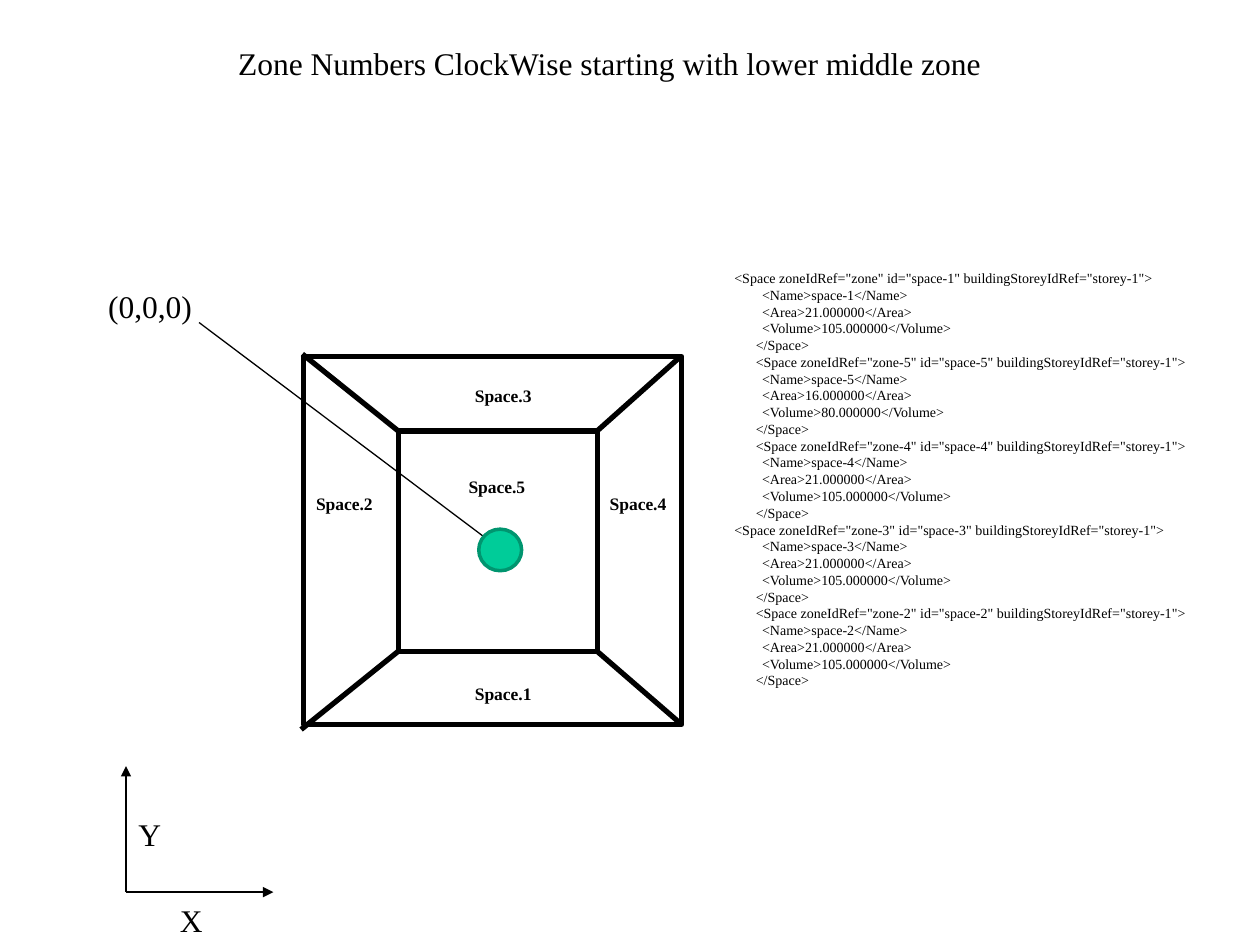
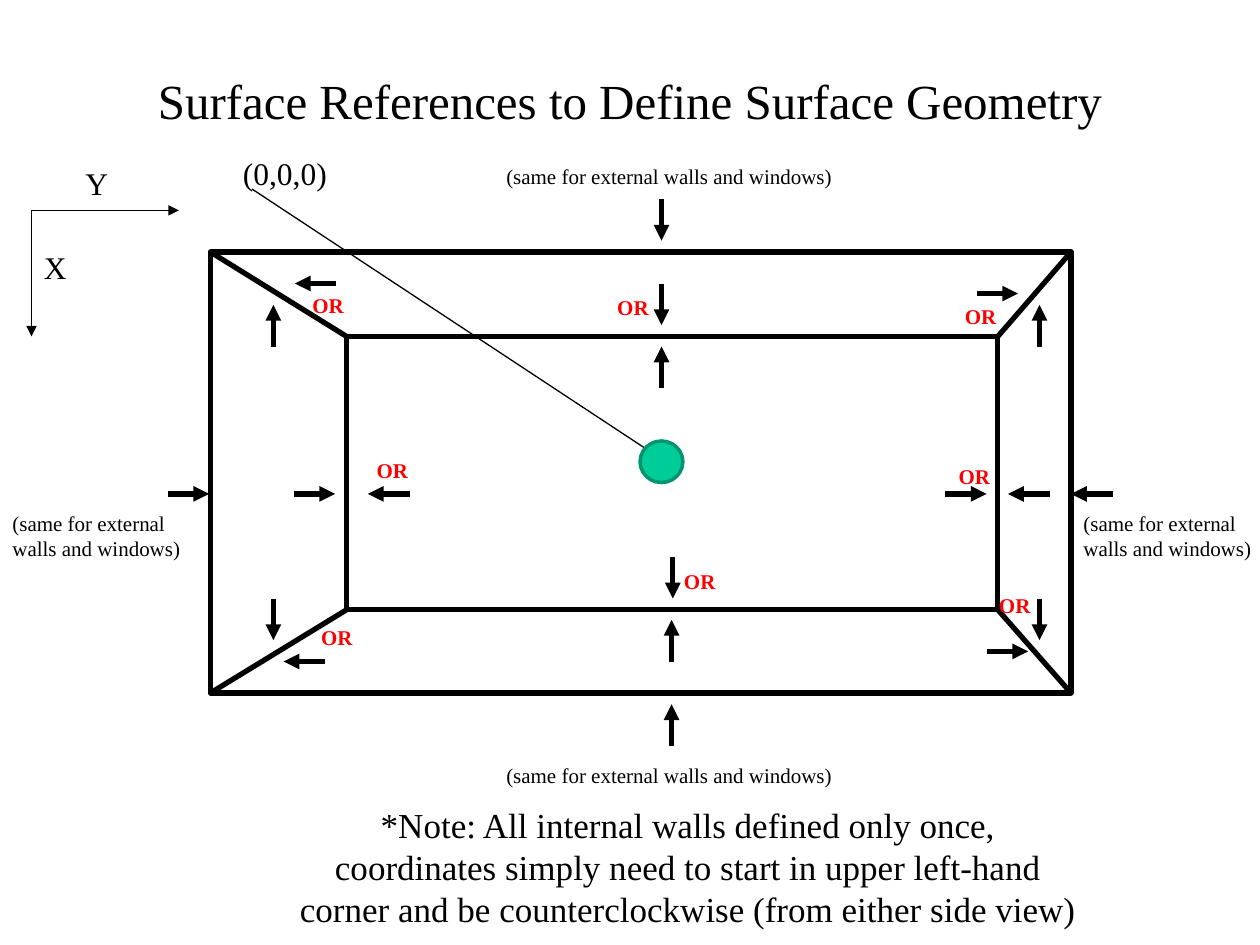
"""Build two slides on zone numbering and surface references."""
from dataclasses import dataclass

from lxml.etree import SubElement
from pptx import Presentation
from pptx.dml.color import RGBColor
from pptx.enum.shapes import MSO_CONNECTOR, MSO_SHAPE
from pptx.enum.text import MSO_ANCHOR, PP_ALIGN
from pptx.oxml.ns import qn
from pptx.shapes.autoshape import Shape
from pptx.slide import Slide
from pptx.text.text import TextFrame
from pptx.util import Inches, Pt

FONT = "Times New Roman"
BLACK, RED, GREEN, DARK_GREEN = "000000", "FF0000", "00CC99", "00956F"
THIN, THICK = 0.75, 3
ARROW_LENGTH = 0.33
EXTERNAL = "(same for external walls and windows)"
Point = tuple[float, float]


@dataclass(frozen=True)
class Box:
    """A rectangle in inches."""
    left: float
    top: float
    width: float
    height: float

    def corners(self) -> list[Point]:
        """Return the top left, top right, bottom left and bottom right points."""
        return [(x, y) for y in (self.top, self.top + self.height)
                for x in (self.left, self.left + self.width)]


@dataclass(frozen=True)
class TextStyle:
    """The look of a piece of text."""
    size: float
    color: str = BLACK
    bold: bool = False
    centered: bool = False


@dataclass(frozen=True)
class Label:
    """A text with its place and look."""
    text: str
    box: Box
    style: TextStyle


@dataclass(frozen=True)
class SpaceEntry:
    """One Space element of the listing."""
    number: int
    zone: str
    area: int
    volume: int
    opening_indent: float


@dataclass(frozen=True)
class Plan:
    """A floor plan with the outer ends of its diagonal walls."""
    outer: Box
    inner: Box
    diagonal_ends: list[Point]


AXIS = TextStyle(18)
SPACE_NAME = TextStyle(10, bold=True)
CODE = TextStyle(8)
REMARK = TextStyle(12)
ALTERNATIVE = TextStyle(12, RED, bold=True)
CHILD_INDENT, CLOSING_INDENT = 0.22, 0.17

SPACES = [
    SpaceEntry(1, "zone", 21, 105, 0),
    SpaceEntry(5, "zone-5", 16, 80, CLOSING_INDENT),
    SpaceEntry(4, "zone-4", 21, 105, CLOSING_INDENT),
    SpaceEntry(3, "zone-3", 21, 105, 0),
    SpaceEntry(2, "zone-2", 21, 105, CLOSING_INDENT),
]
SPACE_NAME_POSITIONS = {1: (3.67, 5.37), 2: (2.41, 3.86), 3: (3.67, 3.01),
                        4: (4.74, 3.86), 5: (3.62, 3.73)}
ARROW_STARTS: dict[Point, list[Point]] = {
    (0, -1): [(5.33, 5.92), (5.25, 3.08), (5.33, 5.25), (8.25, 2.75), (2.17, 2.75)],
    (0, 1): [(8.25, 4.75), (5.25, 1.58), (5.25, 2.25), (5.34, 4.42), (2.17, 4.75)],
    (1, 0): [(1.33, 3.92), (7.83, 5.17), (7.5, 3.92), (7.75, 2.33), (2.33, 3.92)],
    (-1, 0): [(8.33, 3.92), (2.67, 2.25), (2.58, 5.25), (3.25, 3.92), (8.83, 3.92)],
}
ALTERNATIVE_POSITIONS = [(2.38, 2.27), (4.8, 2.29), (7.56, 2.36), (7.51, 3.63),
                         (7.83, 4.65), (5.33, 4.46), (2.45, 4.91), (2.89, 3.58)]
EXTERNAL_BOXES = [Box(0, 4, 1.75, 0.5), Box(3.92, 6, 3.5, 0.3),
                  Box(8.5, 4, 1.58, 0.5), Box(3.92, 1.25, 3.83, 0.3)]


def rgb(color: str) -> RGBColor:
    """Turn a hex string into a colour."""
    return RGBColor.from_string(color)


def add_text_frame(slide: Slide, box: Box) -> TextFrame:
    """Add an empty wrapping text box."""
    shape = slide.shapes.add_textbox(Inches(box.left), Inches(box.top),
                                     Inches(box.width), Inches(box.height))
    shape.text_frame.word_wrap = True
    return shape.text_frame


def add_line_of_text(frame: TextFrame, text: str, style: TextStyle, indent: float = 0) -> None:
    """Write one paragraph, using the first one while it is empty."""
    paragraph = frame.paragraphs[0]
    if paragraph.runs:
        paragraph = frame.add_paragraph()
    if style.centered:
        paragraph.alignment = PP_ALIGN.CENTER
    if indent:
        paragraph._p.get_or_add_pPr().set("marL", str(Inches(indent)))
    run = paragraph.add_run()
    run.text = text
    run.font.name = FONT
    run.font.size = Pt(style.size)
    run.font.bold = style.bold
    run.font.color.rgb = rgb(style.color)


def add_label(slide: Slide, label: Label) -> None:
    """Add a text box, anchored in the middle when its text is centred."""
    frame = add_text_frame(slide, label.box)
    if label.style.centered:
        frame.vertical_anchor = MSO_ANCHOR.MIDDLE
    add_line_of_text(frame, label.text, label.style)


def add_title(slide: Slide, text: str, box: Box, size: float) -> None:
    """Add a centred slide title."""
    add_label(slide, Label(text, box, TextStyle(size, centered=True)))


def add_line(slide: Slide, start: Point, end: Point, weight: float, arrow: bool = False) -> None:
    """Add a straight black line, with an arrowhead at its end if asked."""
    connector = slide.shapes.add_connector(
        MSO_CONNECTOR.STRAIGHT, *(Inches(value) for value in (*start, *end)))
    connector.line.color.rgb = rgb(BLACK)
    connector.line.width = Pt(weight)
    if arrow:
        SubElement(connector.line._get_or_add_ln(), qn("a:tailEnd"), type="triangle")
    SubElement(connector._element.spPr, qn("a:effectLst"))


def add_outline(slide: Slide, kind: MSO_SHAPE, box: Box, color: str, weight: float) -> Shape:
    """Add an unfilled preset shape."""
    shape = slide.shapes.add_shape(kind, Inches(box.left), Inches(box.top),
                                   Inches(box.width), Inches(box.height))
    shape.shadow.inherit = False
    shape.fill.background()
    shape.line.color.rgb = rgb(color)
    shape.line.width = Pt(weight)
    return shape


def add_plan(slide: Slide, plan: Plan) -> None:
    """Draw the outer walls, the core and the diagonals between them."""
    for box in (plan.outer, plan.inner):
        add_outline(slide, MSO_SHAPE.RECTANGLE, box, BLACK, THICK)
    for inner_corner, outer_end in zip(plan.inner.corners(), plan.diagonal_ends):
        add_line(slide, inner_corner, outer_end, THICK)


def add_axes(slide: Slide, origin: Point, vertical_end: Point, horizontal_end: Point,
             names: dict[str, Point]) -> None:
    """Draw two axis arrows and their names."""
    for end in (vertical_end, horizontal_end):
        add_line(slide, origin, end, THIN, arrow=True)
    for name, position in names.items():
        add_label(slide, Label(name, Box(*position, 0.58, 0.4), AXIS))


def add_origin(slide: Slide, label_position: Point, start: Point, end: Point, dot: Point) -> None:
    """Mark the coordinate origin with a dot, a leader line and a label."""
    add_line(slide, start, end, THIN)
    add_label(slide, Label("(0,0,0)", Box(*label_position, 1.33, 0.4), AXIS))
    marker = add_outline(slide, MSO_SHAPE.OVAL, Box(*dot, 0.34, 0.33), DARK_GREEN, 2)
    marker.fill.solid()
    marker.fill.fore_color.rgb = rgb(GREEN)


def add_listing(slide: Slide) -> None:
    """Write the Space elements as indented code."""
    frame = add_text_frame(slide, Box(5.73, 2.09, 4.17, 3.43))
    for entry in SPACES:
        name = f"space-{entry.number}"
        opening = f'<Space zoneIdRef="{entry.zone}" id="{name}" buildingStoreyIdRef="storey-1">'
        add_line_of_text(frame, opening, CODE, entry.opening_indent)
        children = {"Name": name, "Area": f"{entry.area:.6f}", "Volume": f"{entry.volume:.6f}"}
        for tag, value in children.items():
            add_line_of_text(frame, f"<{tag}>{value}</{tag}>", CODE, CHILD_INDENT)
        add_line_of_text(frame, "</Space>", CODE, CLOSING_INDENT)


def build_zone_slide(slide: Slide) -> None:
    """Build the slide on zone numbers."""
    add_title(slide, "Zone Numbers ClockWise starting with lower middle zone",
              Box(1.09, 0.04, 7.5, 0.92), 18)
    add_plan(slide, Plan(Box(2.41, 2.83, 3, 2.92), Box(3.16, 3.42, 1.58, 1.75),
                         [(2.4, 2.81), (5.39, 2.84), (2.39, 5.79), (5.41, 5.75)]))
    add_axes(slide, (1, 7.08), (1, 6.08), (2.17, 7.08), {"X": (1.33, 7.1), "Y": (1, 6.42)})
    add_origin(slide, (0.76, 2.23), (1.58, 2.56), (4, 4.38), (3.8, 4.2))
    for number, position in SPACE_NAME_POSITIONS.items():
        add_label(slide, Label(f"Space.{number}", Box(*position, 0.92, 0.27), SPACE_NAME))
    add_listing(slide)


def build_surface_slide(slide: Slide) -> None:
    """Build the slide on surface references."""
    add_title(slide, "Surface References to Define Surface Geometry",
              Box(0.75, 0.17, 8.5, 1.25), 28)
    outer = Box(1.67, 2, 6.83, 3.5)
    add_plan(slide, Plan(outer, Box(2.75, 2.67, 5.17, 2.17), outer.corners()))
    add_axes(slide, (0.25, 1.67), (0.25, 2.67), (1.42, 1.67),
             {"X": (0.25, 1.92), "Y": (0.58, 1.25)})
    add_origin(slide, (1.83, 1.17), (2, 1.5), (5.26, 3.65), (5.08, 3.5))
    for (step_x, step_y), starts in ARROW_STARTS.items():
        for x, y in starts:
            end = (x + step_x * ARROW_LENGTH, y + step_y * ARROW_LENGTH)
            add_line(slide, (x, y), end, THICK, arrow=True)
    for box in EXTERNAL_BOXES:
        add_label(slide, Label(EXTERNAL, box, REMARK))
    for position in ALTERNATIVE_POSITIONS:
        add_label(slide, Label("OR", Box(*position, 0.51, 0.3), ALTERNATIVE))
    note = ("*Note: All internal walls defined only once, coordinates simply need to start in "
            "upper left-hand corner and be counterclockwise (from either side view)")
    add_label(slide, Label(note, Box(2.25, 6.42, 6.42, 0.92), TextStyle(20, centered=True)))


def main() -> None:
    """Create and save the presentation."""
    presentation = Presentation()
    presentation.slide_width = Inches(10)
    presentation.slide_height = Inches(7.5)
    for build in (build_zone_slide, build_surface_slide):
        build(presentation.slides.add_slide(presentation.slide_layouts[6]))
    presentation.save("out.pptx")


if __name__ == "__main__":
    main()
